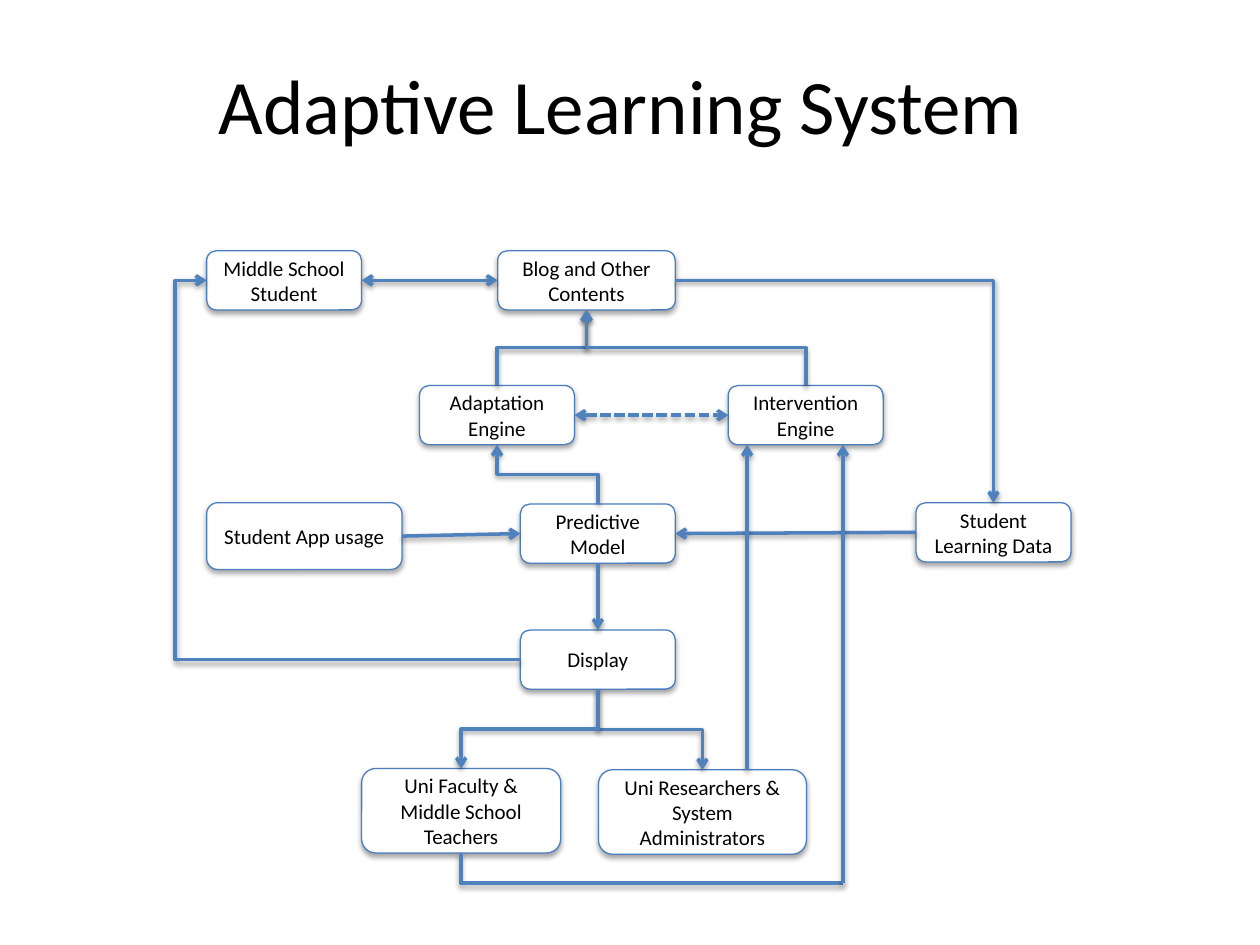
from lxml import etree
from pptx import Presentation
from pptx.dml.color import RGBColor
from pptx.enum.dml import MSO_LINE
from pptx.enum.shapes import MSO_CONNECTOR, MSO_SHAPE
from pptx.enum.text import MSO_ANCHOR, PP_ALIGN
from pptx.oxml.ns import qn
from pptx.util import Inches, Pt

LINE, ELBOW = MSO_CONNECTOR.STRAIGHT, MSO_CONNECTOR.ELBOW
ROUND, DASH = MSO_SHAPE.ROUNDED_RECTANGLE, MSO_LINE.SQUARE_DOT
MIDDLE, CENTER = MSO_ANCHOR.MIDDLE, PP_ALIGN.CENTER
TOP, LEFT, BOTTOM, RIGHT = range(4)
FONT = "Calibri"
ROW = 0.47

BOXES = {
    "pupil": ("Middle School Student", 1.64, 1.99, 1.23, ROW),
    "blog": ("Blog and Other Contents", 3.95, 1.99, 1.41, ROW),
    "app": ("Student App usage ", 1.64, 3.99, 1.55, 0.53),
    "adapt": ("Adaptation Engine", 3.33, 3.06, 1.23, ROW),
    "engine": ("Intervention Engine", 5.78, 3.06, 1.23, ROW),
    "data": ("Student Learning Data", 7.27, 3.99, 1.23, ROW),
    "model": ("Predictive Model", 4.13, 4, 1.23, ROW),
    "display": ("Display", 4.13, 5, 1.23, ROW),
    "staff": ("Uni Faculty & Middle School Teachers", 2.87, 6.1, 1.58, 0.67),
    "admin": ("Uni Researchers & System Administrators", 4.75, 6.11, 1.65, 0.67),
}

LINKS = [
    (ELBOW, ("adapt", TOP), ("blog", BOTTOM), {}),
    (ELBOW, ("engine", TOP), ("blog", BOTTOM), {}),
    (ELBOW, ("model", TOP), ("adapt", BOTTOM), {}),
    (LINE, ("model", BOTTOM), ("display", TOP), {}),
    (LINE, ("app", RIGHT), ("model", LEFT), {}),
    (LINE, ("data", LEFT), ("model", RIGHT), {}),
    (ELBOW, ("display", BOTTOM), ("admin", TOP), {}),
    (ELBOW, ("display", BOTTOM), ("staff", TOP), {}),
    (LINE, ("pupil", RIGHT), ("blog", LEFT), {"ends": ("head", "tail")}),
    (ELBOW, ("display", LEFT), ("pupil", LEFT), {"bend": 1.1}),
    (ELBOW, ("blog", RIGHT), ("data", TOP), {"corner": True}),
    (LINE, (5.93, 6.11), (5.93, 3.53), {}),
    (ELBOW, ("staff", BOTTOM), (6.69, 7.01), {"corner": True, "ends": ()}),
    (LINE, (6.69, 7.01), (6.69, 3.53), {}),
    (LINE, ("adapt", RIGHT), ("engine", LEFT),
     {"ends": ("head", "tail"), "dash": DASH}),
]


def color(code):
    return RGBColor.from_string(code)


def style(item, values):
    for name, value in values.items():
        setattr(item, name, value)


def child(node, tag, **attrs):
    return etree.SubElement(node, qn(tag), attrs)


def shade(shape, dist, alpha):
    props = shape._element.spPr
    for old in props.findall(qn("a:effectLst")):
        props.remove(old)
    glow = child(child(props, "a:effectLst"), "a:outerShdw",
                 blurRad=str(Pt(3.1)), dist=str(Pt(dist)),
                 dir="5400000", rotWithShape="0")
    black = child(glow, "a:srgbClr", val="000000")
    child(black, "a:alpha", val=str(alpha * 1000))


def write(shape, text, size):
    frame = shape.text_frame
    style(frame, {"text": text, "word_wrap": True, "vertical_anchor": MIDDLE})
    para = frame.paragraphs[0]
    para.alignment = CENTER
    font = para.runs[0].font
    style(font, {"name": FONT, "size": Pt(size)})
    font.color.rgb = color("000000")


def place(shape, left, top, width, height):
    sides = zip(("left", "top", "width", "height"), (left, top, width, height))
    style(shape, {side: Inches(value) for side, value in sides})


def box(slide, text, *area):
    shape = slide.shapes.add_shape(ROUND, *map(Inches, area))
    shape.shadow.inherit = False
    shape.fill.solid()
    shape.fill.fore_color.rgb = color("FFFFFF")
    shape.line.color.rgb = color("4B7EBC")
    shape.line.width = Pt(0.75)
    shade(shape, 1.8, 35)
    write(shape, text, 12)
    return shape


def turn(wire):
    x, y = wire.begin_x, wire.begin_y
    dx, dy = wire.end_x - x, wire.end_y - y
    wide, high = abs(dy), abs(dx)
    style(wire, {"left": x + (dx - wide) // 2, "top": y + (dy - high) // 2,
                 "width": wide, "height": high})
    frame = wire._element.spPr.find(qn("a:xfrm"))
    angle = 270 if dx * dy > 0 else 90
    frame.set("rot", str(angle * 60000))
    frame.set("flipH", str(int(dx > 0)))
    frame.set("flipV", str(int(dy < 0)))


def link(slide, boxes, kind, start, stop, ends=("tail",), dash=None,
         bend=None, corner=False):
    spots = [(0, 0) if end[0] in boxes else end for end in (start, stop)]
    wire = slide.shapes.add_connector(
        kind, *[Inches(value) for spot in spots for value in spot])
    for end, join in ((start, wire.begin_connect), (stop, wire.end_connect)):
        if end[0] in boxes:
            join(boxes[end[0]], end[1])
    if kind == ELBOW and start[1] in (TOP, BOTTOM):
        turn(wire)
    props = wire._element.spPr
    geom = props.find(qn("a:prstGeom"))
    if corner:
        geom.set("prst", "bentConnector2")
    if bend:
        child(geom.find(qn("a:avLst")), "a:gd", name="adj1",
              fmla=f"val {round(bend * 100000)}")
    wire.line.color.rgb = color("4F81BD")
    style(wire.line, {"width": Pt(2), "dash_style": dash})
    for end in ends:
        child(props.find(qn("a:ln")), f"a:{end}End", type="arrow")
    shade(wire, 1.6, 38)


def main():
    deck = Presentation()
    style(deck, {"slide_width": Inches(10), "slide_height": Inches(7.5)})
    slide = deck.slides.add_slide(deck.slide_layouts[5])
    title = slide.shapes.title
    place(title, 0.5, 0.2, 9, 1.25)
    write(title, "Adaptive Learning System ", 44)
    boxes = {name: box(slide, *spec) for name, spec in BOXES.items()}
    for kind, start, stop, extra in LINKS:
        link(slide, boxes, kind, start, stop, **extra)
    deck.save("out.pptx")


main()
